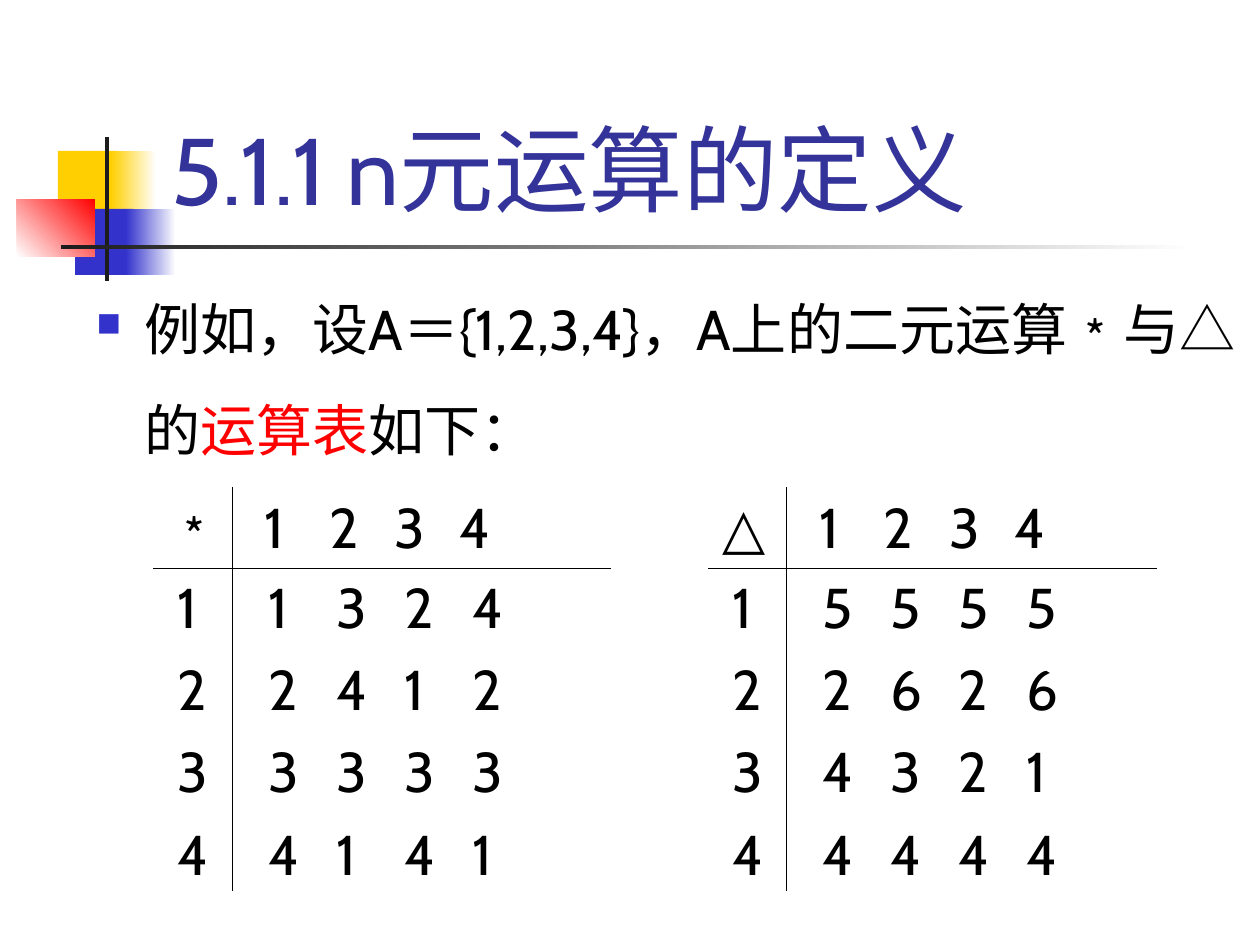
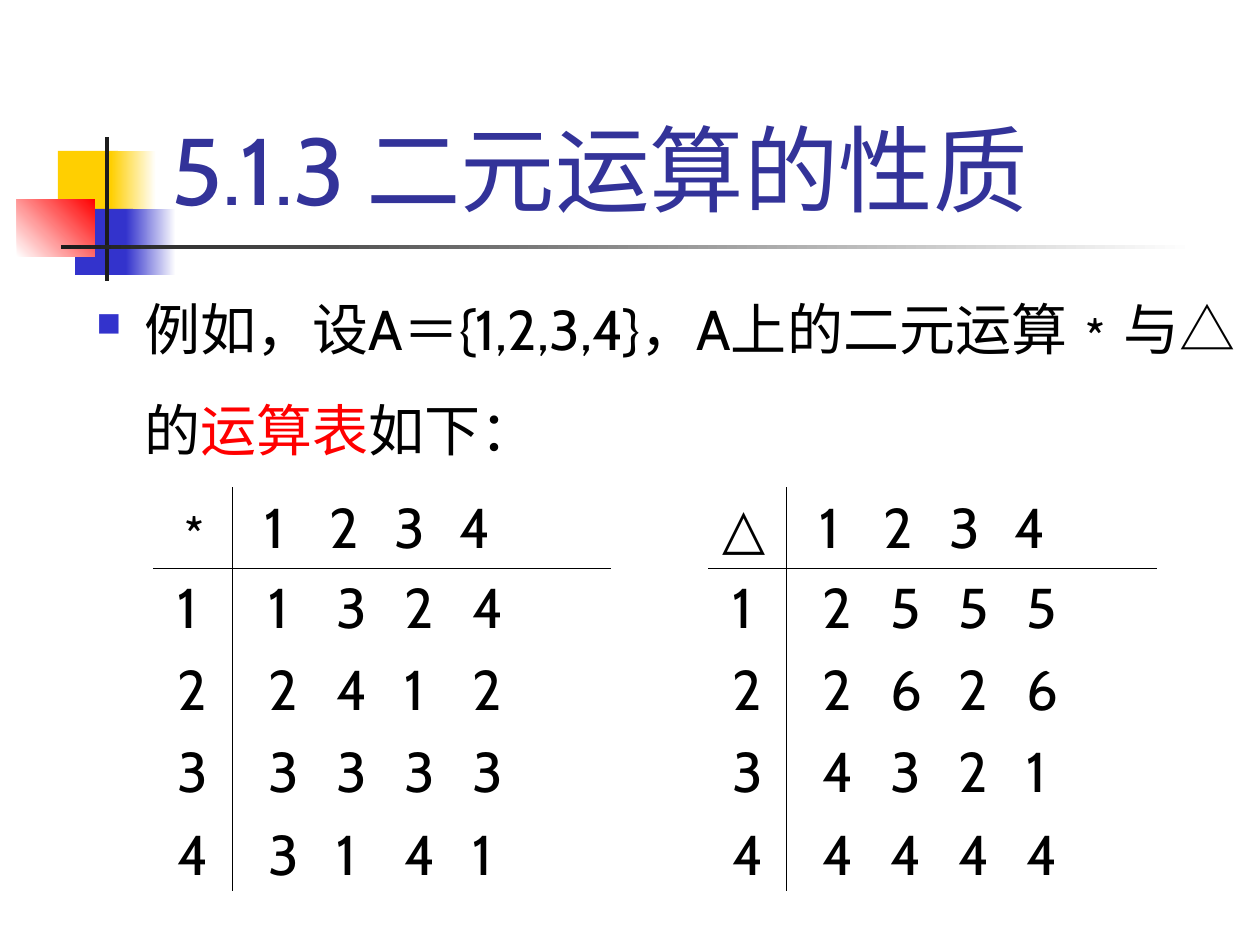
import pptx
import pptx.dml.color
import pptx.enum.shapes
import pptx.enum.text
import pptx.oxml.ns
import pptx.util
from lxml import etree

RGB = pptx.dml.color.RGBColor
BLACK = RGB(0x00, 0x00, 0x00)
WHITE = RGB(0xFF, 0xFF, 0xFF)
RED = RGB(0xFF, 0x00, 0x00)
YELLOW = RGB(0xFF, 0xCF, 0x01)
BLUE = RGB(0x33, 0x33, 0xCC)
CHARCOAL = RGB(0x1C, 0x1C, 0x1C)
TITLE_BLUE = RGB(0x33, 0x33, 0x99)
FONT = "Cabin"

EXAMPLE = [("例如，设A＝{1,2,3,4}，A上的二元运算﹡与△的", BLACK),
           ("运算表", RED), ("如下：", BLACK)]

SLIDES = [
    {"title": "5.1.1 n元运算的定义",
     "star": ["1324", "2412", "3333", "4141"],
     "triangle": ["5555", "2626", "4321", "4444"]},
    {"title": "5.1.3 二元运算的性质",
     "star": ["1324", "2412", "3333", "3141"],
     "triangle": ["2555", "2626", "4321", "4444"]},
]
ELEMENTS = "1234"

# left, top, width, height, colour at start, colour at end, angle
ORNAMENTS = [
    (58, 151, 60, 66, YELLOW, YELLOW, 0),
    (111, 151, 45, 66, YELLOW, WHITE, 0),
    (75, 209, 58, 66, BLUE, BLUE, 0),
    (126, 209, 50, 66, BLUE, WHITE, 0),
    (17, 199, 78, 58, WHITE, RED, 45),
    (105, 137, 4, 144, CHARCOAL, CHARCOAL, 0),
    (61, 245, 1134, 4, CHARCOAL, WHITE, 0),
]
TITLE_AREA = (159, 29, 1074, 202)
BODY_AREA = (84, 255, 1176, 690)
TABLE_TOP = 488
ROW_HEIGHTS = (80, 324)
# symbol, key in the slide, left, column widths
TABLES = [("﹡", "star", 154, (78, 378)),
          ("△", "triangle", 709, (77, 370))]
BODY_INDENT = 48
HEADER_STEP, VALUE_STEP = 65, 68


def px(length):
    return pptx.util.Emu(round(length * 914400 / 126))


def add_xml(parent, tag, **attributes):
    child = etree.SubElement(parent, pptx.oxml.ns.qn(tag))
    for name, value in attributes.items():
        child.set(name, str(value))
    return child


def write(frame, paragraphs, size=32, space_before=8, line_spacing=None,
          bullet=False, tab_step=None):
    """Fill a text frame with paragraphs, each a list of (text, colour)."""
    frame.word_wrap = True
    for index, spans in enumerate(paragraphs):
        para = frame.add_paragraph() if index else frame.paragraphs[0]
        para.alignment = pptx.enum.text.PP_ALIGN.LEFT
        properties = para._p.get_or_add_pPr()
        if bullet:
            properties.set("marL", str(px(BODY_INDENT)))
            properties.set("indent", str(-px(BODY_INDENT)))
            add_xml(add_xml(properties, "a:buClr"), "a:srgbClr", val=BLUE)
            add_xml(properties, "a:buSzPct", val=60000)
            add_xml(properties, "a:buChar", char="■")
        if tab_step:
            stops = add_xml(properties, "a:tabLst")
            for column in range(1, len(ELEMENTS)):
                add_xml(stops, "a:tab", pos=px(column * tab_step), algn="l")
        para.space_before = pptx.util.Pt(space_before if index else 0)
        if line_spacing:
            para.line_spacing = line_spacing
        for text, color in spans:
            span = para.add_run()
            span.text = text
            span.font.size = pptx.util.Pt(size)
            span.font.name = FONT
            span.font.color.rgb = color


def add_ornaments(page):
    for left, top, width, height, start, end, angle in ORNAMENTS:
        shape = page.shapes.add_shape(
            pptx.enum.shapes.MSO_SHAPE.RECTANGLE,
            px(left), px(top), px(width), px(height))
        shape.shadow.inherit = False
        shape.line.fill.background()
        if start == end:
            shape.fill.solid()
            shape.fill.fore_color.rgb = start
        else:
            shape.fill.gradient()
            shape.fill.gradient_angle = angle
            for stop, color in zip(shape.fill.gradient_stops, (start, end)):
                stop.color.rgb = color


def add_title(page, text):
    title = page.shapes.title
    title.left, title.top, title.width, title.height = map(px, TITLE_AREA)
    title.text_frame.auto_size = pptx.enum.text.MSO_AUTO_SIZE.NONE
    title.text_frame.vertical_anchor = pptx.enum.text.MSO_ANCHOR.BOTTOM
    write(title.text_frame, [[(text, TITLE_BLUE)]], size=54)


def rule_inner_sides(cell, row, column):
    """Draw the cell's sides that face the other cells of the 2 by 2 table."""
    properties = cell._tc.get_or_add_tcPr()
    for side in ("LR"[column == 0], "TB"[row == 0]):
        line = add_xml(properties, "a:ln" + side, w=pptx.util.Pt(0.45))
        add_xml(add_xml(line, "a:solidFill"), "a:srgbClr", val=BLACK)


def add_operation_table(page, symbol, rows, left, widths):
    table = page.shapes.add_table(
        2, 2, px(left), px(TABLE_TOP),
        px(sum(widths)), px(sum(ROW_HEIGHTS))).table
    table.first_row = table.horz_banding = False
    for index in range(2):
        table.columns[index].width = px(widths[index])
        table.rows[index].height = px(ROW_HEIGHTS[index])

    # row, column, lines, left margin, tab step
    parts = [(0, 0, [symbol], 13, None),
             (0, 1, [ELEMENTS], 33, HEADER_STEP),
             (1, 0, ELEMENTS, 24, None),
             (1, 1, rows, 37, VALUE_STEP)]
    for row, column, lines, margin, step in parts:
        cell = table.cell(row, column)
        rule_inner_sides(cell, row, column)
        cell.fill.background()
        cell.margin_left = px(margin)
        write(cell.text_frame, [[("\t".join(line), BLACK)] for line in lines],
              tab_step=step)


def main():
    deck = pptx.Presentation()
    deck.slide_width, deck.slide_height = px(1260), px(945)
    for content in SLIDES:
        page = deck.slides.add_slide(deck.slide_layouts[5])
        add_ornaments(page)
        add_title(page, content["title"])
        body = page.shapes.add_textbox(*map(px, BODY_AREA))
        write(body.text_frame, [EXAMPLE], line_spacing=1.5, bullet=True)
        for symbol, key, left, widths in TABLES:
            add_operation_table(page, symbol, content[key], left, widths)
    deck.save("out.pptx")


if __name__ == "__main__":
    main()
